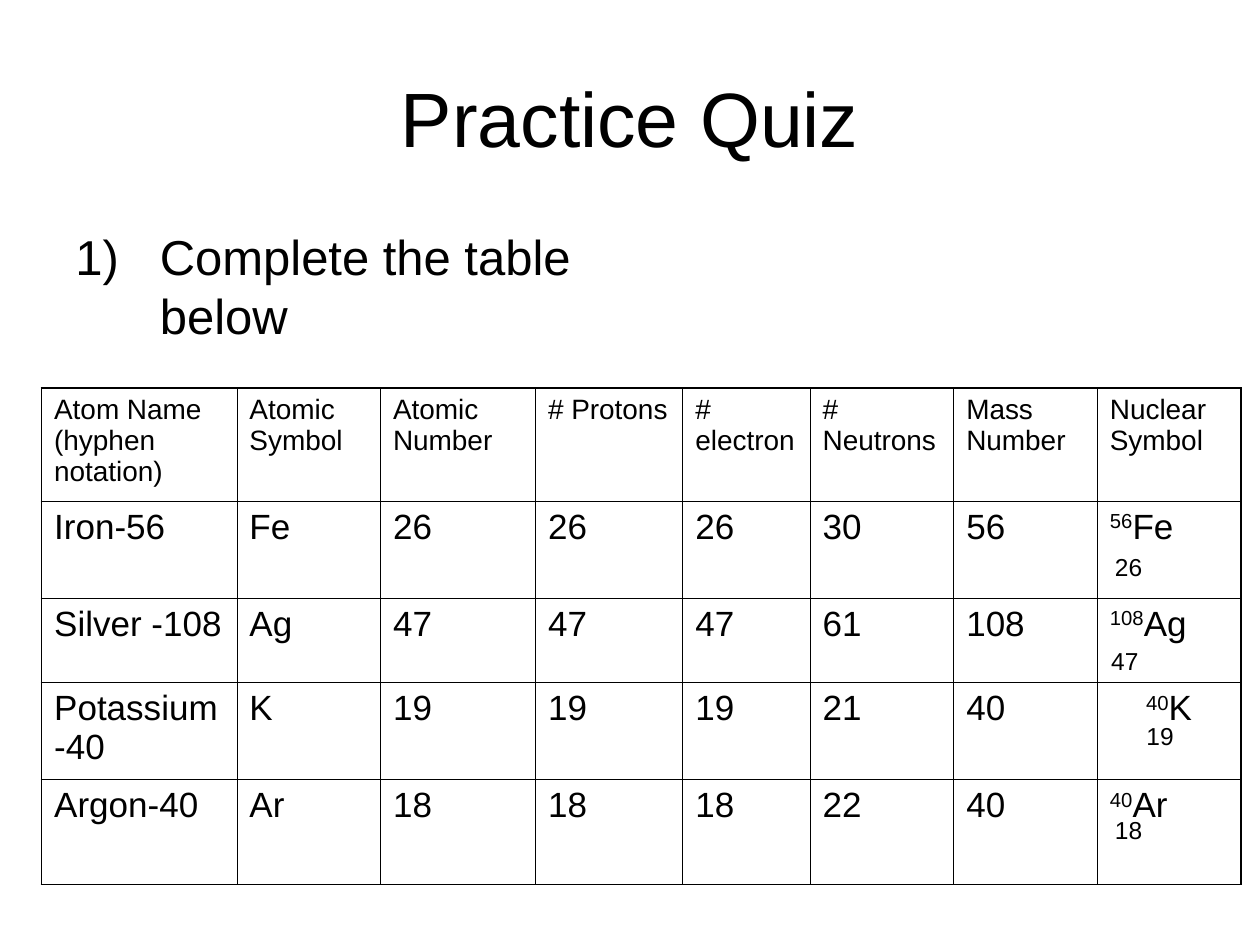
from lxml import etree
from pptx import Presentation
from pptx.dml.color import RGBColor
from pptx.enum.text import MSO_ANCHOR, PP_ALIGN
from pptx.oxml.ns import qn
from pptx.util import Inches, Pt

CENTER = PP_ALIGN.CENTER
MIDDLE = MSO_ANCHOR.MIDDLE
FONT, INK = "Arial", "000000"
THIN, THICK = 0.45, 1.08

HEADS = ["Atom Name (hyphen notation)", "Atomic Symbol", "Atomic Number",
         "# Protons", "# electron", "# Neutrons", "Mass Number",
         "Nuclear Symbol"]
ATOMS = [
    ("Iron-56", "Fe", 26, 30, (8.75, 4.33)),
    ("Silver -108", "Ag", 47, 61, (8.72, 5.08)),
    ("Potassium-40", "K", 19, 21, (9, 5.67)),
    ("Argon-40", "Ar", 18, 22, (8.75, 6.42)),
]
COLS = [1.55, 1.14, 1.23, 1.17, 1.01, 1.14, 1.14, 1.14]
ROWS = [0.9, 0.77, 0.67, 0.77, 0.83]


def color(code):
    return RGBColor.from_string(code)


def style(frame, size):
    for para in frame.paragraphs:
        for run in para.runs:
            font = run.font
            font.name, font.size = FONT, Pt(size)
            font.color.rgb = color(INK)


def add_text(slide, text, box, size):
    shape = slide.shapes.add_textbox(*map(Inches, box))
    frame = shape.text_frame
    frame.word_wrap = True
    frame.text = text
    style(frame, size)
    return frame


def number(para, indent):
    props = para._p.get_or_add_pPr()
    props.set("marL", str(Inches(indent)))
    props.set("indent", str(-Inches(indent)))
    etree.SubElement(props, qn("a:buFont"), typeface=FONT)
    etree.SubElement(props, qn("a:buAutoNum"), type="arabicParenR")


def edge(cell, sides):
    props = cell._tc.get_or_add_tcPr()
    for side, outer in sides:
        width = THICK if outer else THIN
        line = etree.SubElement(props, qn(f"a:ln{side}"), w=str(Pt(width)))
        fill = etree.SubElement(line, qn("a:solidFill"))
        etree.SubElement(fill, qn("a:srgbClr"), val=INK)


def add_table(slide):
    rows, cols = len(ROWS), len(COLS)
    box = (0.33, 3.08, sum(COLS), sum(ROWS))
    table = slide.shapes.add_table(rows, cols, *map(Inches, box)).table
    table.first_row = table.horz_banding = False
    for col, width in zip(table.columns, COLS):
        col.width = Inches(width)
    for row, height in zip(table.rows, ROWS):
        row.height = Inches(height)
    lines = [HEADS]
    for name, sign, protons, neutrons, spot in ATOMS:
        mass = protons + neutrons
        lines.append([name, sign, protons, protons, protons, neutrons,
                      mass, (mass, sign)])
    for i, line in enumerate(lines):
        for j, value in enumerate(line):
            cell = table.cell(i, j)
            para = cell.text_frame.paragraphs[0]
            if isinstance(value, tuple):
                for part in value:
                    para.add_run().text = str(part)
                para.runs[0].font._element.set("baseline", "30000")
                if value[1] == "K":
                    para.alignment = CENTER
            else:
                para.text = str(value)
            style(cell.text_frame, 20 if i else 16)
            edge(cell, [("L", j == 0), ("R", j == cols - 1),
                        ("T", i == 0), ("B", i == rows - 1)])
            cell.fill.background()


def main():
    deck = Presentation()
    deck.slide_width, deck.slide_height = Inches(10), Inches(7.5)
    slide = deck.slides.add_slide(deck.slide_layouts[5])
    title = slide.shapes.title
    title.left, title.top = Inches(0.5), Inches(0.3)
    title.width, title.height = Inches(9), Inches(1.25)
    frame = title.text_frame
    frame.text = "Practice Quiz"
    frame.vertical_anchor = MIDDLE
    frame.paragraphs[0].alignment = CENTER
    style(frame, 44)
    task = add_text(slide, "Complete the table below",
                    (0.5, 1.75, 4.42, 1.08), 28)
    number(task.paragraphs[0], 0.67)
    add_table(slide)
    for name, sign, protons, neutrons, spot in ATOMS:
        add_text(slide, str(protons), (*spot, 0.42, 0.34), 14)
    deck.save("out.pptx")


if __name__ == "__main__":
    main()
